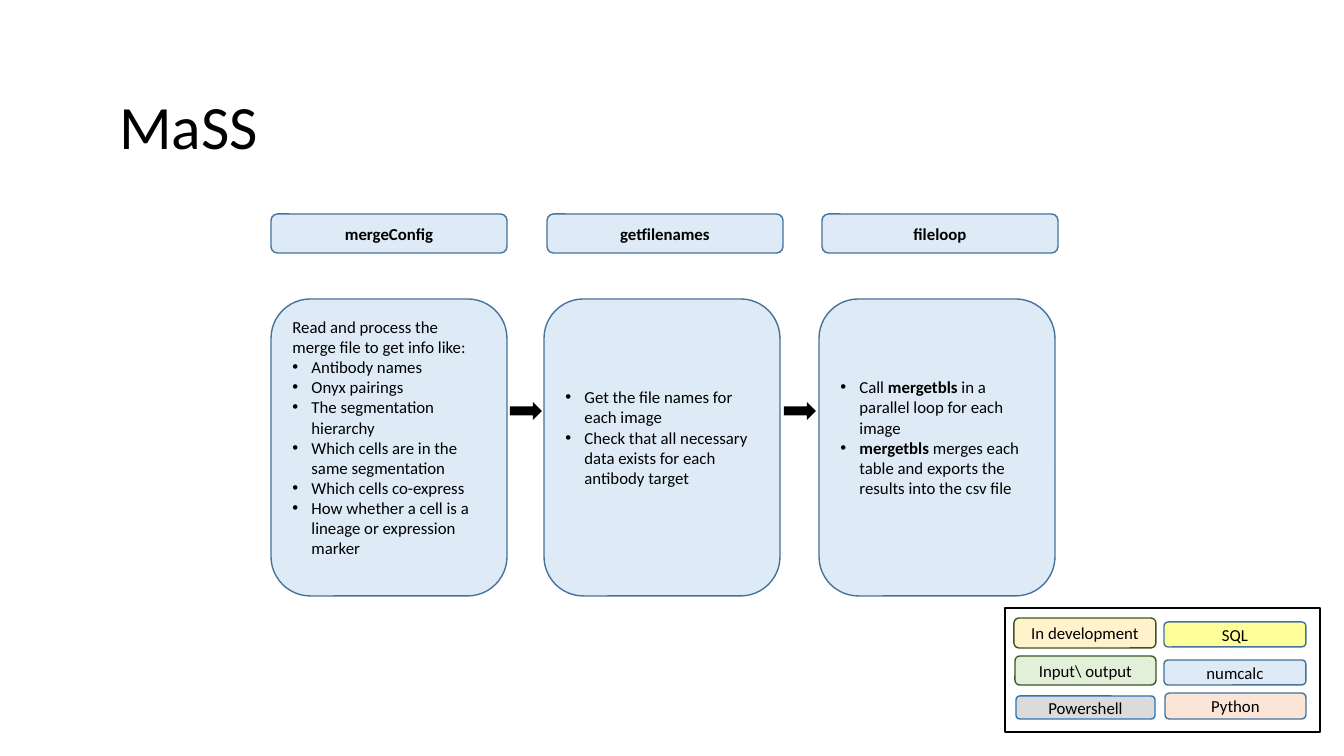
from lxml.etree import SubElement
from pptx import Presentation
from pptx.dml.color import RGBColor
from pptx.enum.shapes import MSO_SHAPE
from pptx.enum.text import MSO_ANCHOR, PP_ALIGN
from pptx.oxml.ns import qn
from pptx.util import Emu, Pt

BLACK = RGBColor(0x00, 0x00, 0x00)
WHITE = RGBColor(0xFF, 0xFF, 0xFF)
PALE_BLUE = RGBColor(0xDE, 0xEB, 0xF7)
STEEL = RGBColor(0x43, 0x73, 0x9E)
BLUE = RGBColor(0x2E, 0x75, 0xB6)
DARK_GREEN = RGBColor(0x38, 0x57, 0x23)
PALE_GREEN = RGBColor(0xE2, 0xF0, 0xD9)
CREAM = RGBColor(0xFF, 0xF2, 0xCC)
GREY = RGBColor(0xDB, 0xDB, 0xDB)
PEACH = RGBColor(0xFB, 0xE5, 0xD6)
YELLOW = RGBColor(0xFF, 0xFF, 0x99)


def px(n):
    return Emu(round(n * 914400 / 100.8))


class Deck:
    font = "Calibri"
    size = 12

    def __init__(self, width, height):
        self.prs = Presentation()
        self.prs.slide_width, self.prs.slide_height = px(width), px(height)
        self.slide = self.prs.slides.add_slide(self.prs.slide_layouts[5])

    def run(self, p, text, size=None, bold=False):
        r = p.add_run()
        r.text = text
        r.font.name, r.font.size, r.font.bold = self.font, Pt(size or self.size), bold
        r.font.color.rgb = BLACK

    def title(self, text, x, y, w, h):
        sp = self.slide.shapes.title
        sp.left, sp.top, sp.width, sp.height = map(px, (x, y, w, h))
        sp.text_frame.vertical_anchor = MSO_ANCHOR.MIDDLE
        p = sp.text_frame.paragraphs[0]
        p.alignment, p.line_spacing = PP_ALIGN.LEFT, 0.9
        self.run(p, text, 44)

    def shape(self, kind, x, y, w, h, fill, line=None, parent=None):
        sp = (parent or self.slide).shapes.add_shape(kind, *map(px, (x, y, w, h)))
        sp.shadow.inherit = False
        sp.fill.solid()
        sp.fill.fore_color.rgb = fill
        if line is None:
            sp.line.fill.background()
        else:
            sp.line.color.rgb, sp.line.width = line, Pt(1)
        return sp

    def label(self, text, x, y, w, h, fill, line, bold=False, parent=None):
        sp = self.shape(MSO_SHAPE.ROUNDED_RECTANGLE, x, y, w, h, fill, line, parent)
        tf = sp.text_frame
        tf.word_wrap, tf.vertical_anchor = True, MSO_ANCHOR.MIDDLE
        p = tf.paragraphs[0]
        p.alignment = PP_ALIGN.CENTER
        self.run(p, text, bold=bold)

    def card(self, intro, bullets, x, y, w, h):
        """Rounded card; each bullet is a list of (text, bold) runs."""
        sp = self.shape(MSO_SHAPE.ROUNDED_RECTANGLE, x, y, w, h, PALE_BLUE, STEEL)
        tf = sp.text_frame
        tf.word_wrap, tf.vertical_anchor = True, MSO_ANCHOR.MIDDLE
        tf.margin_bottom = px(25)
        items = ([(False, [(intro, False)])] if intro else []) + [(True, b) for b in bullets]
        for i, (bulleted, runs) in enumerate(items):
            p = tf.add_paragraph() if i else tf.paragraphs[0]
            p.alignment = PP_ALIGN.LEFT
            if bulleted:
                self.bullet(p)
            for text, bold in runs:
                self.run(p, text, bold=bold)

    def bullet(self, p):
        pPr = p._p.get_or_add_pPr()
        pPr.set("marL", str(px(19)))
        pPr.set("indent", str(-px(19)))
        SubElement(pPr, qn("a:buFont")).set("typeface", "Arial")
        SubElement(pPr, qn("a:buChar")).set("char", "•")


deck = Deck(1344, 756)
deck.title("MaSS", 109, 57, 1159, 146)

# Steps: heading, card text, heading left, card left
steps = [
    ("mergeConfig", "Read and process the merge file to get info like:",
     [[(text, False)] for text in (
         "Antibody names",
         "Onyx pairings",
         "The segmentation hierarchy",
         "Which cells are in the same segmentation",
         "Which cells co-express",
         "How whether a cell is a lineage or expression marker")],
     271, 271),
    ("getfilenames", None,
     [[("Get the file names for each image", False)],
      [("Check that all necessary data exists for each antibody target", False)]],
     547, 544),
    ("fileloop", None,
     [[("Call ", False), ("mergetbls ", True), ("in a parallel loop for each image", False)],
      [("mergetbls ", True),
       ("merges each table and exports the results into the csv file", False)]],
     822, 819),
]
for heading, intro, bullets, head_x, card_x in steps:
    deck.label(heading, head_x, 214, 236, 39, PALE_BLUE, STEEL, bold=True)
    deck.card(intro, bullets, card_x, 299, 236, 297)

# Arrows between cards
for x in (510, 784):
    deck.shape(MSO_SHAPE.RIGHT_ARROW, x, 402, 32, 18, BLACK)

# Legend
legend = deck.slide.shapes.add_group_shape()
deck.shape(MSO_SHAPE.RECTANGLE, 1005, 608, 315, 124, WHITE, BLACK, legend)
for text, x, y, w, h, fill, line in [
    ("In development", 1014, 618, 142, 30, CREAM, DARK_GREEN),
    ("Input\\ output", 1015, 656, 141, 29, PALE_GREEN, DARK_GREEN),
    ("Powershell", 1016, 696, 139, 23, GREY, BLUE),
    ("SQL", 1164, 622, 142, 25, YELLOW, STEEL),
    ("numcalc", 1164, 660, 142, 25, PALE_BLUE, STEEL),
    ("Python", 1165, 693, 141, 26, PEACH, STEEL),
]:
    deck.label(text, x, y, w, h, fill, line, parent=legend)

deck.prs.save("out.pptx")
